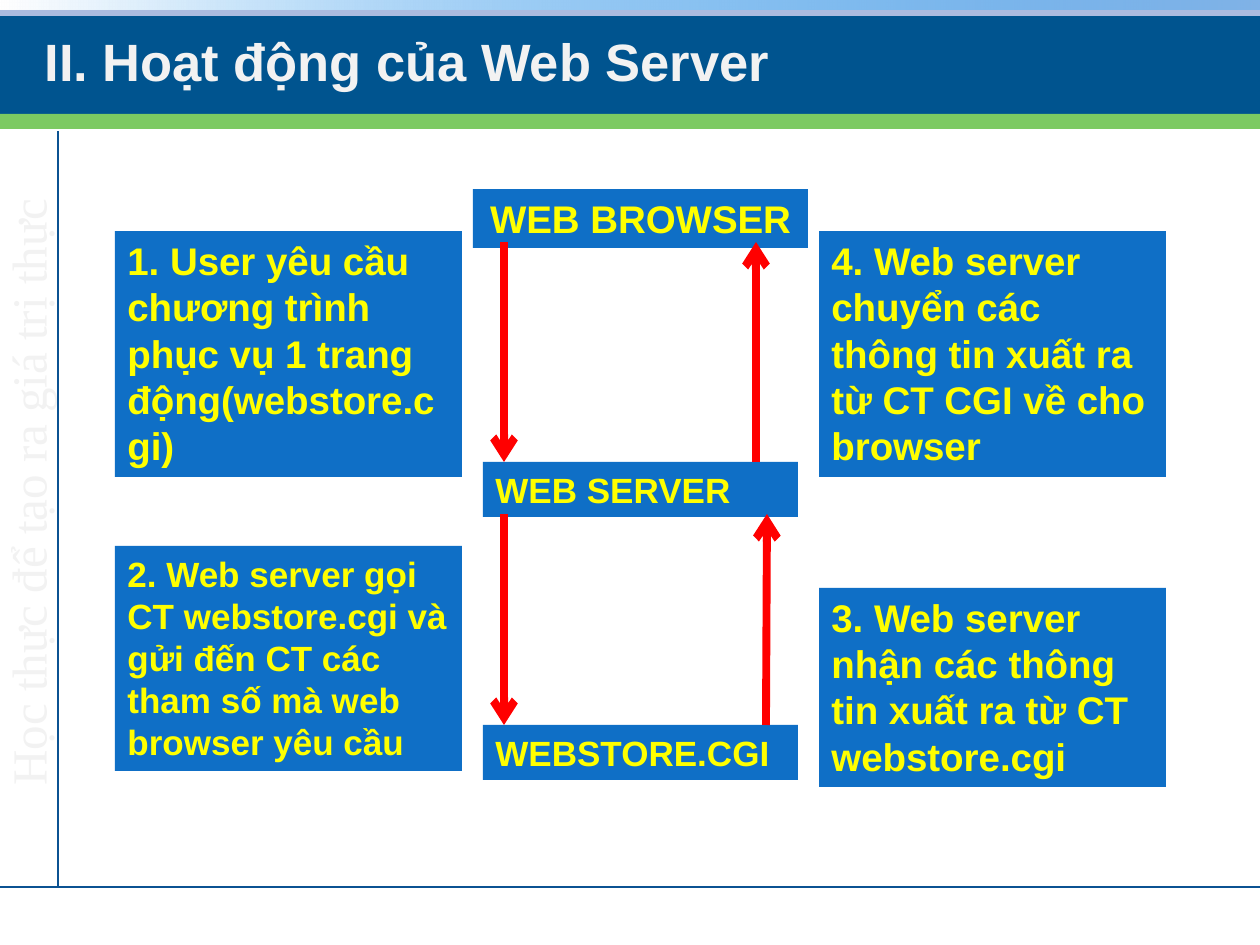
from dataclasses import dataclass

from lxml import etree
from pptx import Presentation
from pptx.dml.color import RGBColor
from pptx.enum.shapes import MSO_CONNECTOR, MSO_SHAPE
from pptx.enum.text import MSO_ANCHOR, MSO_AUTO_SIZE, PP_ALIGN
from pptx.oxml.ns import qn
from pptx.util import Emu, Pt

RECT = MSO_SHAPE.RECTANGLE
STRAIGHT = MSO_CONNECTOR.STRAIGHT
LEFT, CENTER = PP_ALIGN.LEFT, PP_ALIGN.CENTER
TOP, MIDDLE, BOTTOM = MSO_ANCHOR.TOP, MSO_ANCHOR.MIDDLE, MSO_ANCHOR.BOTTOM
NO_FIT = MSO_AUTO_SIZE.NONE
EMU_PER_PX = 914400 / 126
W, H = 1260, 945

BLUE, NAVY, RULE = "0F6FC6", "00548F", "0B5292"
GREEN, PALE, SKY = "7CCA62", "ABBBDF", "0099FF"
WHITE, LIGHT, YELLOW, RED = "FFFFFF", "F2F2F2", "FFFF00", "FF0000"


@dataclass
class Band:
    top: int
    height: int
    color: str


@dataclass
class Box:
    x: int
    y: int
    w: int
    h: int
    text: str
    size: int = 22
    align: PP_ALIGN = LEFT
    space: int = 0


@dataclass
class Line:
    x1: int
    y1: int
    x2: int
    y2: int
    color: str = RED
    width: float = 4.5
    arrow: bool = True


BANDS = [Band(7, 108, NAVY), Band(0, 16, PALE), Band(114, 15, GREEN)]
RULES = [
    Line(0, 887, W, 887, RULE, 1, False),
    Line(58, 131, 58, 887, RULE, 1, False),
]
LEFT_X, MID_X, RIGHT_X = 115, 483, 819
SIDE_W, MID_W = 347, 315
BOXES = [
    Box(LEFT_X, 231, SIDE_W, 246,
        "1. User yêu cầu chương trình phục vụ 1 trang động(webstore.cgi)"),
    Box(LEFT_X, 546, SIDE_W, 225,
        "2. Web server gọi CT webstore.cgi và gửi đến CT các tham số mà web browser yêu cầu", 20),
    Box(RIGHT_X, 588, SIDE_W, 199,
        "3. Web server nhận các thông tin xuất ra từ CT webstore.cgi"),
    Box(RIGHT_X, 231, SIDE_W, 246,
        "4. Web server chuyển các thông tin xuất ra từ CT CGI về cho browser"),
    Box(473, 189, 335, 59, "WEB BROWSER", 22, CENTER, 6),
    Box(MID_X, 462, MID_W, 55, "WEB SERVER", 20),
    Box(MID_X, 725, MID_W, 55, "WEBSTORE.CGI", 20),
]
ARROWS = [
    Line(504, 242, 504, 462),
    Line(504, 514, 504, 725),
    Line(766, 725, 767, 514),
    Line(756, 462, 756, 242),
]


def px(n: int) -> Emu:
    return Emu(round(n * EMU_PER_PX))


def rgb(color: str) -> RGBColor:
    return RGBColor.from_string(color)


def add_rect(shapes, x: int, y: int, w: int, h: int, color: str):
    sp = shapes.add_shape(RECT, px(x), px(y), px(w), px(h))
    sp.shadow.inherit = False
    sp.fill.solid()
    sp.fill.fore_color.rgb = rgb(color)
    sp.line.fill.background()
    return sp


def add_text(tf, text: str, size: int, color: str, font: str = "Arial",
             bold: bool = True, align: PP_ALIGN = LEFT, anchor: MSO_ANCHOR = TOP):
    tf.word_wrap = True
    tf.auto_size = NO_FIT
    tf.vertical_anchor = anchor
    p = tf.paragraphs[0]
    p.alignment = align
    r = p.add_run()
    r.text = text
    r.font.name = font
    r.font.size = Pt(size)
    r.font.bold = bold
    r.font.color.rgb = rgb(color)
    return p


def add_box(shapes, box: Box) -> None:
    sp = add_rect(shapes, box.x, box.y, box.w, box.h, BLUE)
    p = add_text(sp.text_frame, box.text, box.size, YELLOW, align=box.align)
    p.space_before = p.space_after = Pt(box.space)


def add_line(shapes, line: Line) -> None:
    cn = shapes.add_connector(STRAIGHT, px(line.x1), px(line.y1), px(line.x2), px(line.y2))
    cn.line.color.rgb = rgb(line.color)
    cn.line.width = Pt(line.width)
    if line.arrow:
        etree.SubElement(cn.line._get_or_add_ln(), qn("a:tailEnd"), type="arrow")
    etree.SubElement(cn._element.spPr, qn("a:effectLst"))


def add_gradient_strip(shapes) -> None:
    sp = add_rect(shapes, 0, 0, W, 10, WHITE)
    sp.fill.gradient()
    sp.fill.gradient_angle = 0
    for stop, color, position in zip(sp.fill.gradient_stops, (WHITE, SKY), (0, 1)):
        stop.color.rgb = rgb(color)
        stop.position = position
    end = list(sp._element.spPr.iter(qn("a:srgbClr")))[-1]
    etree.SubElement(end, qn("a:alpha"), val="25000")


def add_motto(shapes) -> None:
    sp = shapes.add_textbox(px(-15), px(147), px(84), px(651))
    tf = sp.text_frame
    add_text(tf, "Học thực để tạo ra giá trị thực", 28, LIGHT,
             "Times New Roman", False, anchor=MIDDLE)
    tf._txBody.bodyPr.set("vert", "vert270")


def set_title(slide) -> None:
    title = slide.shapes.title
    title.left, title.top, title.width, title.height = px(32), px(21), px(1207), px(84)
    tf = title.text_frame
    tf.margin_bottom = px(13)
    add_text(tf, "II. Hoạt động của Web Server", 30, LIGHT, anchor=BOTTOM)
    slide.shapes._spTree.append(title._element)


def build() -> None:
    prs = Presentation()
    prs.slide_width, prs.slide_height = px(W), px(H)
    slide = prs.slides.add_slide(prs.slide_layouts[5])
    shapes = slide.shapes
    for band in BANDS:
        add_rect(shapes, 0, band.top, W, band.height, band.color)
    add_motto(shapes)
    for rule in RULES:
        add_line(shapes, rule)
    add_gradient_strip(shapes)
    set_title(slide)
    for box in BOXES:
        add_box(shapes, box)
    for arrow in ARROWS:
        add_line(shapes, arrow)
    prs.save("out.pptx")


build()
